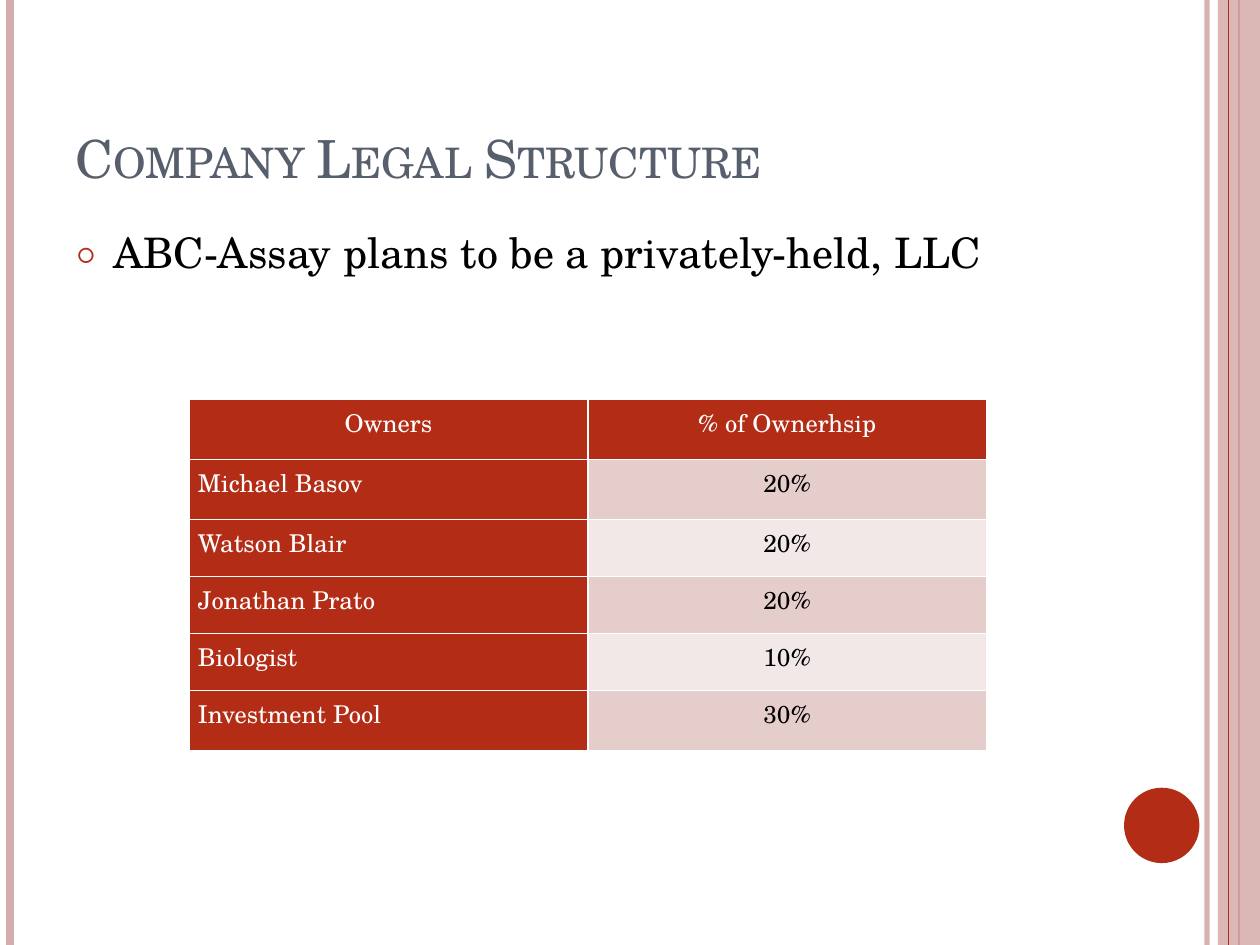
from lxml import etree
from pptx import Presentation
from pptx import util as u
from pptx.dml.color import RGBColor
from pptx.enum import shapes, text
from pptx.oxml import ns

RED = RGBColor(0xB3, 0x2C, 0x16)
PINK = RGBColor(0xD6, 0xAD, 0xAC)
SLATE = RGBColor(0x57, 0x5F, 0x6D)
BAND_DARK = RGBColor(0xE5, 0xCD, 0xCC)
BAND_LIGHT = RGBColor(0xF2, 0xE8, 0xE8)
WHITE = RGBColor(0xFF, 0xFF, 0xFF)
BLACK = RGBColor(0, 0, 0)


def add_xml(parent, tag, **attrs):
    return etree.SubElement(parent, ns.qn(tag), attrs)


class SlideBuilder:
    font = "TeX Gyre Schola"

    def __init__(self, slide):
        self.s = slide

    def style(self, p, size, color):
        for r in p.runs:
            r.font.name = self.font
            r.font.size = u.Pt(size)
            r.font.color.rgb = color

    def set_alpha(self, fill_parent, percent):
        color = fill_parent.find(".//" + ns.qn("a:srgbClr"))
        add_xml(color, "a:alpha", val=str(percent * 1000))

    def vertical_rule(self, x, color, width, alpha=100):
        c = self.s.shapes.add_connector(
            shapes.MSO_CONNECTOR.STRAIGHT, u.Cm(x), 0, u.Cm(x), u.Cm(19.05))
        c.line.color.rgb = color
        c.line.width = u.Pt(width)
        if alpha < 100:
            self.set_alpha(c.line._ln, alpha)
        add_xml(c._element.spPr, "a:effectLst")

    def shape(self, kind, x, y, w, h, color, alpha=100):
        sp = self.s.shapes.add_shape(kind, u.Cm(x), u.Cm(y), u.Cm(w), u.Cm(h))
        sp.shadow.inherit = False
        sp.fill.solid()
        sp.fill.fore_color.rgb = color
        sp.line.fill.background()
        if alpha < 100:
            self.set_alpha(sp._element.spPr, alpha)

    def text_box(self, x, y, w, h, words, anchor):
        tf = self.s.shapes.add_textbox(u.Cm(x), u.Cm(y), u.Cm(w), u.Cm(h)).text_frame
        tf.word_wrap = True
        tf.vertical_anchor = anchor
        tf.text = words
        return tf.paragraphs[0]

    def title(self, x, y, w, h, words):
        p = self.text_box(x, y, w, h, words, text.MSO_ANCHOR.BOTTOM)
        self.style(p, 30, SLATE)
        p.runs[0].font._element.set("cap", "small")

    def bullet(self, x, y, w, h, words):
        p = self.text_box(x, y, w, h, words, text.MSO_ANCHOR.TOP)
        pPr = p._p.get_or_add_pPr()
        indent = u.Cm(0.76)
        pPr.set("marL", str(indent))
        pPr.set("indent", str(-indent))
        add_xml(add_xml(pPr, "a:buClr"), "a:srgbClr", val=str(RED))
        add_xml(pPr, "a:buSzPct", val="70000")
        add_xml(pPr, "a:buFont", typeface=self.font)
        add_xml(pPr, "a:buChar", char="○")
        self.style(p, 24, BLACK)

    def cell(self, cell, words, fill, color, align):
        cell.margin_left = cell.margin_right = u.Cm(0.18)
        cell.margin_top = cell.margin_bottom = 0
        tcPr = cell._tc.get_or_add_tcPr()
        for side in "LRTB":
            ln = add_xml(tcPr, "a:ln" + side, w=str(u.Pt(1)))
            add_xml(add_xml(ln, "a:solidFill"), "a:srgbClr", val=str(WHITE))
        cell.fill.solid()
        cell.fill.fore_color.rgb = fill
        cell.text_frame.text = words
        p = cell.text_frame.paragraphs[0]
        p.alignment = align
        p.line_spacing = 1.15
        self.style(p, 14, color)

    def table(self, x, y, col_width, row_heights, rows):
        center, left = text.PP_ALIGN.CENTER, text.PP_ALIGN.LEFT
        cols = len(rows[0])
        t = self.s.shapes.add_table(
            len(rows), cols, u.Cm(x), u.Cm(y),
            u.Cm(col_width * cols), u.Cm(sum(row_heights))).table
        t.horz_banding = False
        for col in t.columns:
            col.width = u.Cm(col_width)
        for i, (height, row) in enumerate(zip(row_heights, rows)):
            t.rows[i].height = u.Cm(height)
            for j, words in enumerate(row):
                if i == 0 or j == 0:
                    fill, color = RED, WHITE
                else:
                    fill, color = (BAND_DARK if i % 2 else BAND_LIGHT), BLACK
                align = left if i and j == 0 else center
                self.cell(t.cell(i, j), words, fill, color, align)


def main():
    prs = Presentation()
    prs.slide_width, prs.slide_height = u.Cm(25.4), u.Cm(19.05)
    b = SlideBuilder(prs.slides.add_slide(prs.slide_layouts[6]))

    # Side decoration, back to front
    b.vertical_rule(24.33, PINK, 3, alpha=93)
    b.vertical_rule(0.21, PINK, 4.5)
    b.vertical_rule(24.98, RED, 1.5)
    b.shape(shapes.MSO_SHAPE.RECTANGLE, 24.55, 0, 0.85, 19.05, PINK, alpha=87)
    b.vertical_rule(24.77, RED, 0.75)
    b.shape(shapes.MSO_SHAPE.OVAL, 22.66, 15.88, 1.52, 1.52, RED)

    # Title and statement
    b.title(1.27, 0.76, 20.75, 3.18, "Company Legal Structure")
    b.bullet(1.27, 4.45, 20.75, 13.54, "ABC-Assay plans to be a privately-held, LLC")

    # Ownership table
    b.table(3.81, 8.05, 8.04, [1.21, 1.21, 1.15, 1.15, 1.15, 1.21], [
        ("Owners", "% of Ownerhsip"),
        ("Michael Basov", "20%"),
        ("Watson Blair", "20%"),
        ("Jonathan Prato", "20%"),
        ("Biologist", "10%"),
        ("Investment Pool", "30%"),
    ])

    prs.save("out.pptx")


if __name__ == "__main__":
    main()
